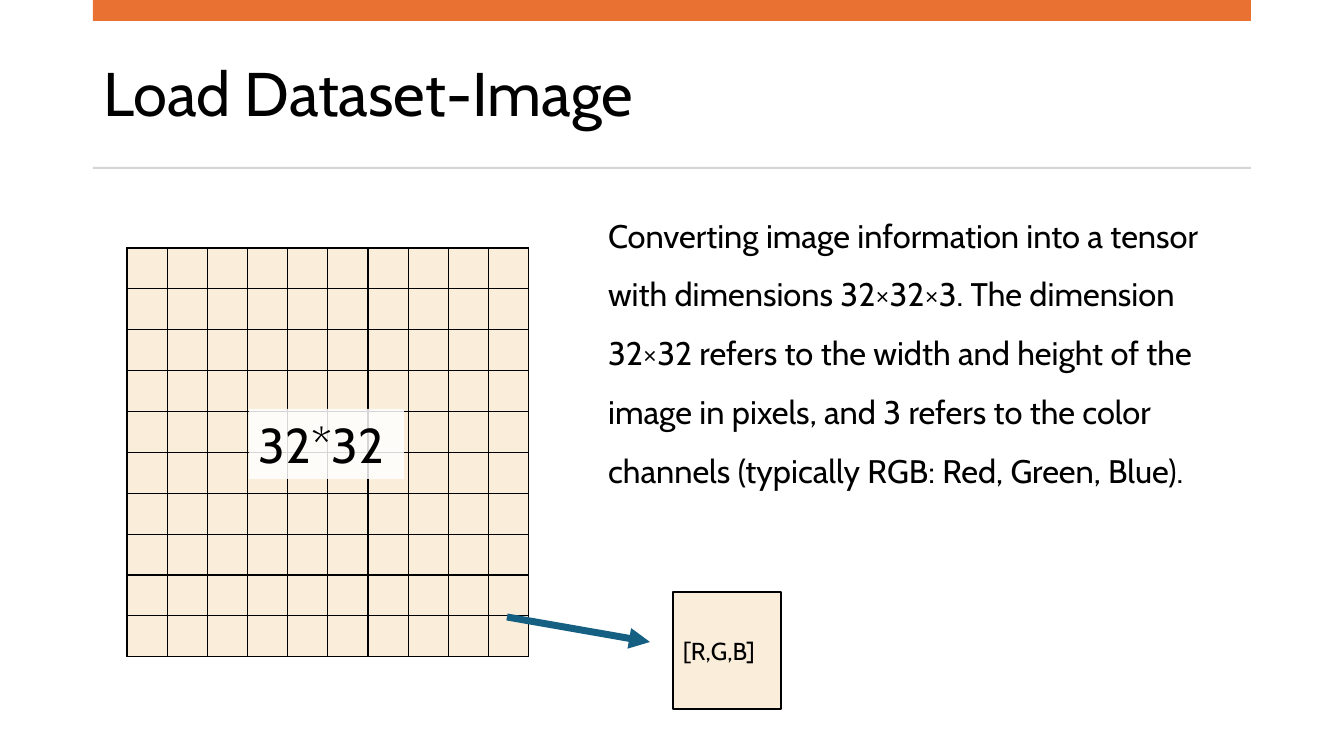
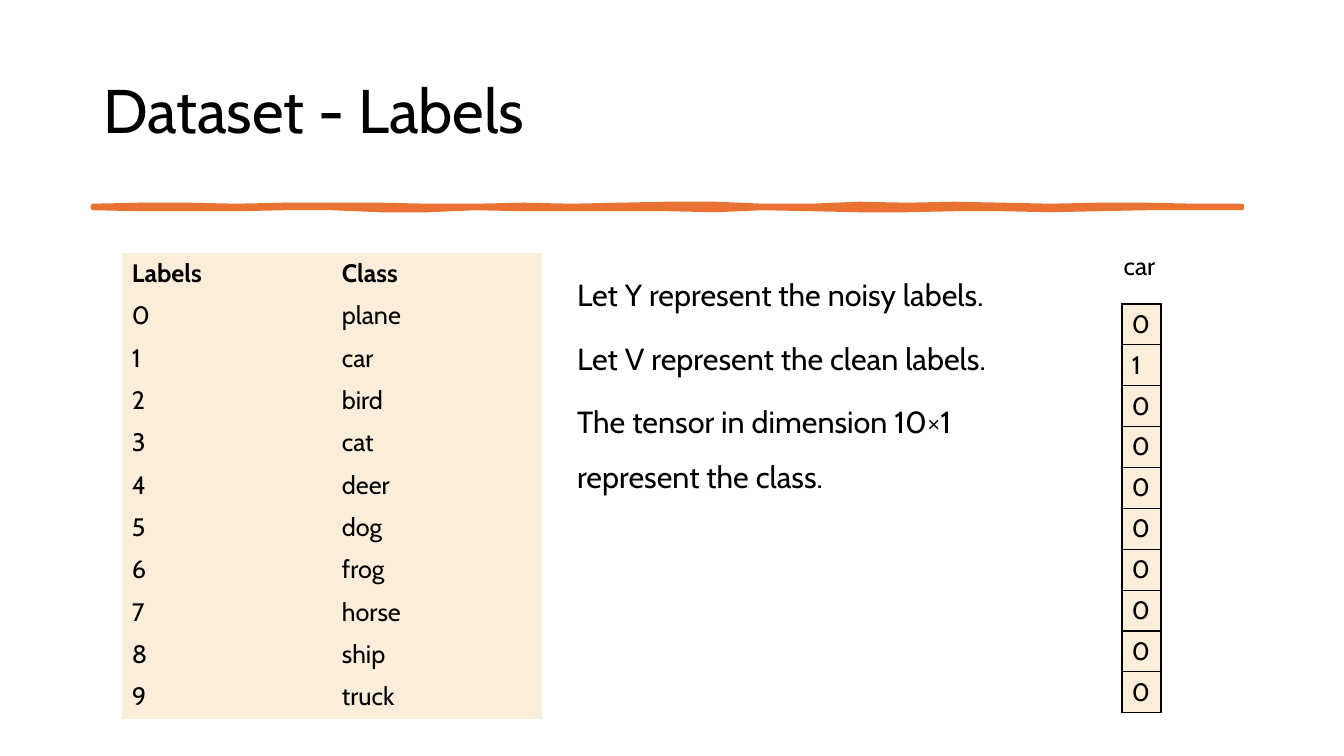
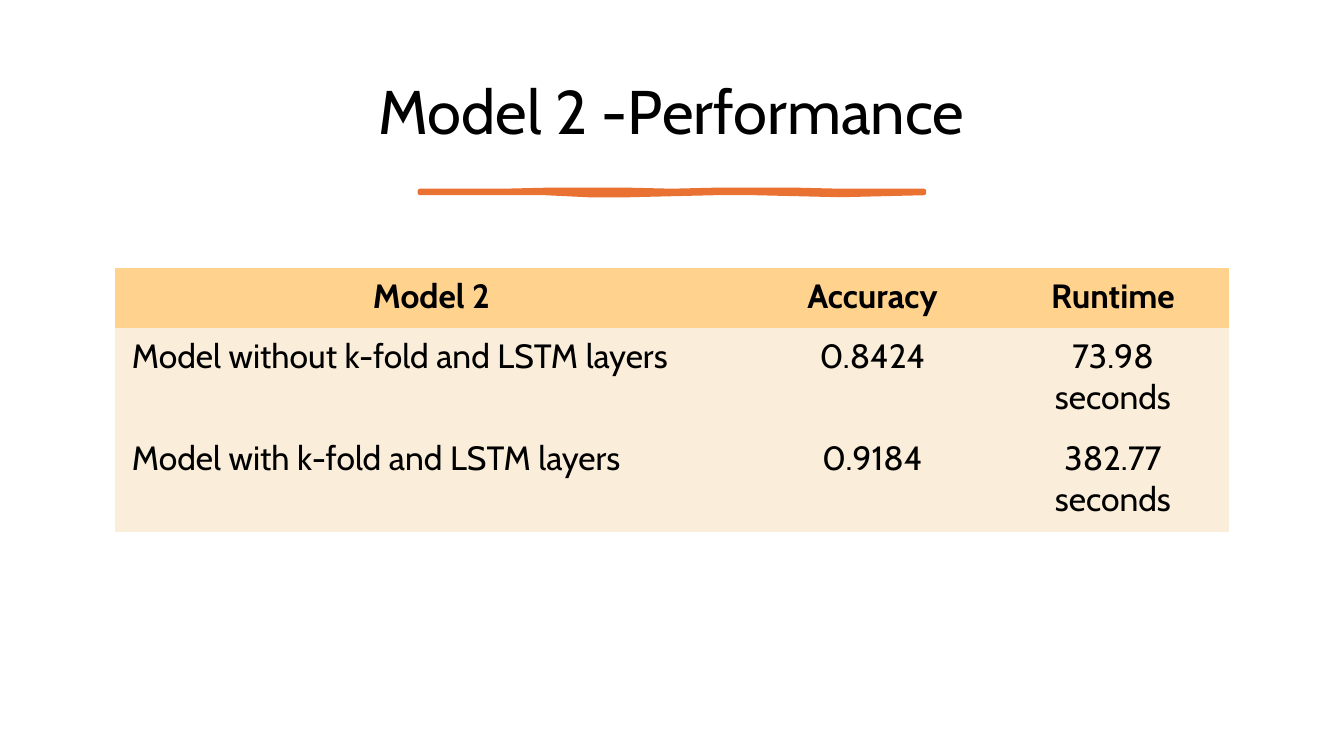
"""Builds three slides about an image dataset, its labels and a model's results."""
import dataclasses

import lxml.etree
import pptx
import pptx.dml.color
import pptx.enum.shapes
import pptx.enum.text
import pptx.oxml.ns
import pptx.util

RGB = pptx.dml.color.RGBColor
ALIGN = pptx.enum.text.PP_ALIGN
ANCHOR = pptx.enum.text.MSO_ANCHOR
qn = pptx.oxml.ns.qn

BLACK = RGB(0x00, 0x00, 0x00)
WHITE = RGB(0xFF, 0xFF, 0xFF)
ORANGE = RGB(0xE9, 0x71, 0x32)
GREY = RGB(0xD5, 0xD5, 0xD5)
CREAM = RGB(0xFA, 0xED, 0xD9)
AMBER = RGB(0xFF, 0xD2, 0x8E)
TEAL = RGB(0x15, 0x60, 0x82)
FONT = "Cabin"
EMU_PER_PX = 914400 / 100.8
NO_STYLE = "{2D5ABB26-0587-4C30-8999-92F81FD0307C}"
CONTENT_LAYOUT, TITLE_LAYOUT = 1, 5
CLASSES = ["plane", "car", "bird", "cat", "deer",
           "dog", "frog", "horse", "ship", "truck"]


def px(length):
    """Turn pixels into EMU."""
    return pptx.util.Emu(round(length * EMU_PER_PX))


@dataclasses.dataclass
class Box:
    """A rectangle in pixels."""
    left: int
    top: int
    width: int
    height: int

    def emu(self):
        """Give the four lengths in EMU."""
        return [px(n) for n in (self.left, self.top, self.width, self.height)]

    def inner(self, left, top, width, height):
        """Give a box placed relative to this one."""
        return Box(self.left + left, self.top + top, width, height)


def write(frame, lines, size, align=ALIGN.LEFT, bold=False, spacing=1.0, after=0):
    """Write one paragraph per line into a text frame."""
    for index, line in enumerate(lines):
        paragraph = frame.add_paragraph() if index else frame.paragraphs[0]
        paragraph.alignment = align
        paragraph.line_spacing = spacing
        paragraph.space_before = pptx.util.Pt(0)
        paragraph.space_after = pptx.util.Pt(after)
        run = paragraph.add_run()
        run.text = line
        run.font.name = FONT
        run.font.size = pptx.util.Pt(size)
        run.font.bold = bold
        run.font.color.rgb = BLACK


def place(placeholder, box, anchor):
    """Move a placeholder into a box and return its text frame."""
    placeholder.left, placeholder.top, placeholder.width, placeholder.height = box.emu()
    frame = placeholder.text_frame
    frame.word_wrap = True
    frame.auto_size = pptx.enum.text.MSO_AUTO_SIZE.NONE
    frame.vertical_anchor = anchor
    return frame


def titled_slide(deck, layout, title, box, align=ALIGN.LEFT):
    """Add a slide with its title."""
    slide = deck.slides.add_slide(deck.slide_layouts[layout])
    frame = place(slide.shapes.title, box, ANCHOR.MIDDLE)
    write(frame, [title], 44, align, spacing=0.9)
    return slide


def body(slide, box, lines, size):
    """Fill the body placeholder with unbulleted paragraphs."""
    frame = place(slide.placeholders[1], box, ANCHOR.TOP)
    write(frame, lines, size, spacing=1.5, after=6)
    for paragraph in frame.paragraphs:
        properties = paragraph._p.get_or_add_pPr()
        properties.set("marL", "0")
        properties.set("indent", "0")
        lxml.etree.SubElement(properties, qn("a:buNone"))


def rectangle(slide, box, fill, outline=None):
    """Add a flat rectangle with an optional outline colour."""
    shape = slide.shapes.add_shape(
        pptx.enum.shapes.MSO_SHAPE.RECTANGLE, *box.emu())
    shape.shadow.inherit = False
    shape.fill.solid()
    shape.fill.fore_color.rgb = fill
    if outline is None:
        shape.line.fill.background()
    else:
        shape.line.color.rgb = outline
        shape.line.width = pptx.util.Pt(1.5)
    return shape


def brush_line(slide, box, rises, sags):
    """Draw a hand-brushed line that swells at equal steps along the box."""
    step = box.width / (len(rises) - 1)
    upper = [(n * step, -rise) for n, rise in enumerate(rises)]
    lower = [(n * step, box.height + sag) for n, sag in enumerate(sags)]
    outline = [(px(box.left + x), px(box.top + y)) for x, y in upper + lower[::-1]]
    builder = slide.shapes.build_freeform(*outline[0], scale=1.0)
    builder.add_line_segments(outline[1:], close=True)
    brush = builder.convert_to_shape()
    brush.shadow.inherit = False
    brush.fill.solid()
    brush.fill.fore_color.rgb = ORANGE
    brush.line.color.rgb = ORANGE
    brush.line.width = pptx.util.Pt(3.25)
    lxml.etree.SubElement(brush.line._get_or_add_ln(), qn("a:round"))


def border(cell):
    """Draw a thin black border round a cell."""
    properties = cell._tc.get_or_add_tcPr()
    for index, side in enumerate(("a:lnL", "a:lnR", "a:lnT", "a:lnB")):
        line = lxml.etree.Element(qn(side), w=str(pptx.util.Pt(1)))
        fill = lxml.etree.SubElement(line, qn("a:solidFill"))
        lxml.etree.SubElement(fill, qn("a:srgbClr"), val=str(BLACK))
        properties.insert(index, line)


def table(slide, box, rows, widths, heights, size=18, header=None,
          margins=(10, 5), bordered=False, aligns=None):
    """Add a table whose columns and rows share the box in proportion."""
    grid = slide.shapes.add_table(len(rows), len(widths), *box.emu()).table
    grid.first_row = grid.horz_banding = False
    grid._tbl.tblPr.find(qn("a:tableStyleId")).text = NO_STYLE
    for column, share in zip(grid.columns, widths):
        column.width = px(box.width * share / sum(widths))
    for row, share in zip(grid.rows, heights):
        row.height = px(box.height * share / sum(heights))
    for r, texts in enumerate(rows):
        heading = header is not None and r == 0
        for c, text in enumerate(texts):
            cell = grid.cell(r, c)
            cell.margin_left = cell.margin_right = px(margins[0])
            cell.margin_top = cell.margin_bottom = px(margins[1])
            cell.fill.solid()
            cell.fill.fore_color.rgb = header if heading else CREAM
            if bordered:
                border(cell)
            if text:
                align = aligns[heading][c] if aligns else ALIGN.LEFT
                write(cell.text_frame, [text], size, align, heading)


def arrow(slide, start, end):
    """Draw a thick teal arrow."""
    ends = [px(n) for n in (*start, *end)]
    line = slide.shapes.add_connector(
        pptx.enum.shapes.MSO_CONNECTOR.STRAIGHT, *ends)
    line.line.color.rgb = TEAL
    line.line.width = pptx.util.Pt(5)
    lxml.etree.SubElement(line.line._get_or_add_ln(), qn("a:tailEnd"), type="triangle")
    lxml.etree.SubElement(line._element.spPr, qn("a:effectLst"))


def caption(shape, text, size):
    """Write left-aligned text in the middle of a shape."""
    shape.text_frame.word_wrap = True
    shape.text_frame.vertical_anchor = ANCHOR.MIDDLE
    write(shape.text_frame, [text], size)


def pixel_diagram(slide, box):
    """Show the pixel grid and one pixel drawn out of it."""
    table(slide, box.inner(0, 0, 402, 409), [[""] * 10] * 10, [1] * 10, [1] * 10,
          margins=(0, 0), bordered=True)
    arrow(slide, (box.left + 380, box.top + 369), (box.left + 523, box.top + 394))
    pixel = rectangle(slide, box.inner(546, 344, 108, 117), CREAM, BLACK)
    caption(pixel, "[R,G,B]", 17.5)
    dimensions = rectangle(slide, box.inner(122, 161, 155, 70), WHITE)
    colour = dimensions._element.spPr.find(".//" + qn("a:srgbClr"))
    lxml.etree.SubElement(colour, qn("a:alpha"), val="84000")
    caption(dimensions, "32*32", 34.9)


def one_hot_column(slide, box, name):
    """Show a class name above its one-hot vector."""
    vector = [[str(int(label == name))] for label in CLASSES]
    table(slide, box.inner(65, 59, 39, 409), vector, [1], [1] * 10, bordered=True)
    heading = slide.shapes.add_textbox(*box.inner(0, 0, box.width, 40).emu())
    heading.text_frame.word_wrap = True
    write(heading.text_frame, [name], 18, ALIGN.CENTER)


def image_slide(deck):
    """Add the slide on image tensors."""
    slide = titled_slide(deck, CONTENT_LAYOUT, "Load Dataset-Image", Box(93, 37, 1158, 119))
    rectangle(slide, Box(93, 0, 1158, 21), ORANGE)
    rectangle(slide, Box(93, 167, 1158, 2), GREY)
    body(slide, Box(598, 191, 618, 469), [
        "Converting image information into a tensor with dimensions 32×32×3. "
        "The dimension 32×32 refers to the width and height of the image in pixels, "
        "and 3 refers to the color channels (typically RGB: Red, Green, Blue)."], 23.3)
    pixel_diagram(slide, Box(127, 248, 654, 461))


def labels_slide(deck):
    """Add the slide on class labels."""
    slide = titled_slide(deck, CONTENT_LAYOUT, "Dataset - Labels", Box(93, 41, 1159, 146))
    brush_line(slide, Box(93, 206, 1149, 2),
               [0, 1, 1, 0, 1, 1, 1, 0, 0, 1, 0, 1, 2, 2, 0, 0, 2, 1, 2, 1, 0, 1, 1, 0, 0],
               [0, 1, 1, 1, 0, 0, 2, 2, 0, 1, 1, 1, 1, 2, 0, 1, 2, 2, 1, 1, 2, 1, 0, 0, 0])
    labels = [["Labels", "Class"]] + [[str(n), name] for n, name in enumerate(CLASSES)]
    table(slide, Box(122, 253, 420, 466), labels, [1, 1], [1] * 11, header=CREAM)
    body(slide, Box(567, 253, 495, 244), [
        "Let Y represent the noisy labels.",
        "Let V represent the clean labels.",
        "The tensor in dimension 10×1 represent the class."], 21.8)
    one_hot_column(slide, Box(1057, 245, 165, 468), "car")


def performance_slide(deck):
    """Add the slide on accuracy and runtime."""
    slide = titled_slide(deck, TITLE_LAYOUT, "Model 2 -Performance",
                         Box(70, 46, 1203, 138), ALIGN.CENTER)
    brush_line(slide, Box(420, 191, 504, 2),
               [0, 0, 0, 1, 1, 1, 0, 1, 1, 1, 0, 0, 0],
               [0, 0, 0, 0, 2, 2, 1, 0, 0, 1, 2, 1, 0])
    results = [
        ["Model 2", "Accuracy", "Runtime"],
        ["Model without k-fold and LSTM layers", "0.8424", "73.98 seconds"],
        ["Model with k-fold and LSTM layers", "0.9184", "382.77 seconds"]]
    aligns = ([ALIGN.LEFT, ALIGN.CENTER, ALIGN.CENTER], [ALIGN.CENTER] * 3)
    table(slide, Box(115, 268, 1114, 264), results, [633, 249, 232], [60, 102, 102],
          size=24, header=AMBER, margins=(17, 8), aligns=aligns)


def main():
    """Build and save the deck."""
    deck = pptx.Presentation()
    deck.slide_width, deck.slide_height = px(1344), px(756)
    image_slide(deck)
    labels_slide(deck)
    performance_slide(deck)
    deck.save("out.pptx")


if __name__ == "__main__":
    main()
